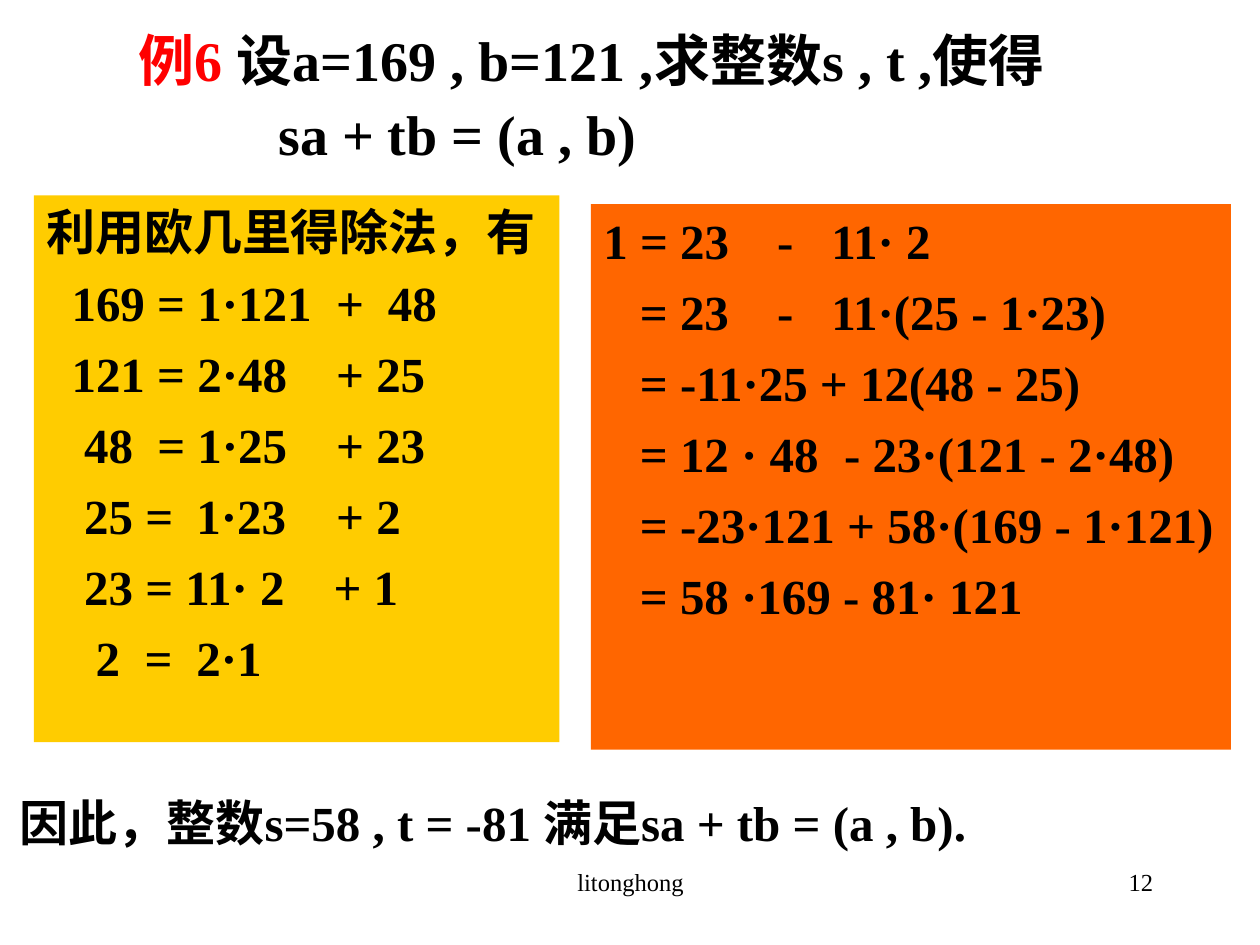
from pptx import Presentation
from pptx.dml.color import RGBColor
from pptx.enum.shapes import MSO_SHAPE as Preset
from pptx.enum.text import MSO_ANCHOR as Anchor, MSO_AUTO_SIZE as AutoSize, PP_ALIGN as Align
from pptx.oxml.ns import qn
from pptx.util import Inches, Pt
from lxml.etree import SubElement

BLACK = RGBColor(0x00, 0x00, 0x00)
RED = RGBColor(0xFF, 0x00, 0x00)
GOLD = RGBColor(0xFF, 0xCC, 0x00)
ORANGE = RGBColor(0xFF, 0x66, 0x00)

# A grid of 100 columns by 75 rows
COLUMNS, ROWS = 100, 75
WIDTH, HEIGHT = Inches(10), Inches(7.5)


class SlideBuilder:
    """Holds the text style and the current slide."""

    font = {"name": "Times New Roman", "bold": True}

    def __init__(self, page):
        self.page = page

    def place(self, column, row, columns, rows):
        cell_width, cell_height = WIDTH / COLUMNS, HEIGHT / ROWS
        return [int(column * cell_width), int(row * cell_height),
                int(columns * cell_width), int(rows * cell_height)]

    def add_lines(self, box, lines, size, align=Align.LEFT, bold=True, **spacing):
        """Each line is (spans, tab columns); a span is (text, colour)."""
        frame = box.text_frame
        frame.word_wrap = True
        frame.vertical_anchor = Anchor.TOP
        for index, (spans, stops) in enumerate(lines):
            para = frame.paragraphs[0] if index == 0 else frame.add_paragraph()
            for key, value in {"alignment": align, **spacing}.items():
                setattr(para, key, value)
            self.add_stops(para, stops)
            for text, color in spans:
                span = para.add_run()
                span.text = text
                style = {**self.font, "size": Pt(size), "bold": bold}
                for key, value in style.items():
                    setattr(span.font, key, value)
                span.font.color.rgb = color
        return frame

    def add_stops(self, para, stops):
        if stops:
            tab_list = SubElement(para._p.get_or_add_pPr(), qn("a:tabLst"))
            for stop in stops:
                position = int(stop * WIDTH / COLUMNS)
                SubElement(tab_list, qn("a:tab"), pos=str(position), algn="l")

    def text(self, area, lines, size, **options):
        box = self.page.shapes.add_textbox(*self.place(*area))
        return self.add_lines(box, lines, size, **options)

    def panel(self, area, fill, lines, size, **options):
        box = self.page.shapes.add_shape(Preset.RECTANGLE, *self.place(*area))
        box.shadow.inherit = False
        box.fill.solid()
        box.fill.fore_color.rgb = fill
        box.line.fill.background()
        return self.add_lines(box, lines, size, **options)


def plain(text, *stops):
    return [(text, BLACK)], stops


deck = Presentation()
deck.slide_width, deck.slide_height = WIDTH, HEIGHT
builder = SlideBuilder(deck.slides.add_slide(deck.slide_layouts[6]))

# Problem statement
builder.text((10, 2.1, 82.5, 12.6), [
    ([("例6 ", RED), ("设a=169 , b=121 ,求整数s , t ,使得", BLACK)], ()),
    plain("\tsa + tb = (a , b)", 11.1),
], 32, line_spacing=0.9, space_before=Pt(8))

# Division steps
builder.panel((2.7, 15.5, 41.7, 43.4), GOLD, [
    plain("利用欧几里得除法\uff0c有"),
    plain("\t169 = 1·121\t+\t48", 2, 23, 27.1),
    plain("\t121 = 2·48\t+ 25", 2, 23),
    plain("\t48\t= 1·25\t+ 23", 3, 8.8, 23),
    plain("\t25 =\t1·23\t+ 2", 3, 11.9, 23),
    plain("\t23 = 11· 2\t+ 1", 3, 22.8),
    plain("\t2\t=\t2·1", 3.9, 7.8, 11.9),
], 28, space_before=Pt(7))

# Back substitution
builder.panel((46.9, 16.2, 50.8, 43.3), ORANGE, [
    plain("1 = 23\t-\t11· 2", 13.8, 18.1),
    plain("\t= 23\t-\t11·(25 - 1·23)", 2.9, 13.8, 18.1),
    plain("\t= -11·25 + 12(48 - 25)", 2.9),
    plain("\t= 12 · 48\t- 23·(121 - 2·48)", 2.9, 19.1),
    plain("\t= -23·121 + 58·(169 - 1·121)", 2.9),
    plain("\t= 58 ·169 - 81· 121", 2.9),
], 28, space_before=Pt(7))

# Conclusion
conclusion = builder.text((0.6, 62.4, 87.4, 5.7), [
    plain("因此\uff0c整数s=58 , t = -81 满足sa + tb = (a , b)."),
], 28, space_before=Pt(7))
conclusion.word_wrap = False
conclusion.auto_size = AutoSize.SHAPE_TO_FIT_TEXT

# Footer and page number
for column, columns, label, align in [
    (34.2, 31.7, "litonghong", Align.CENTER),
    (71.7, 20.8, "12", Align.RIGHT),
]:
    builder.text((column, 68.3, columns, 5), [plain(label)], 14, align=align, bold=False)

deck.save("out.pptx")
